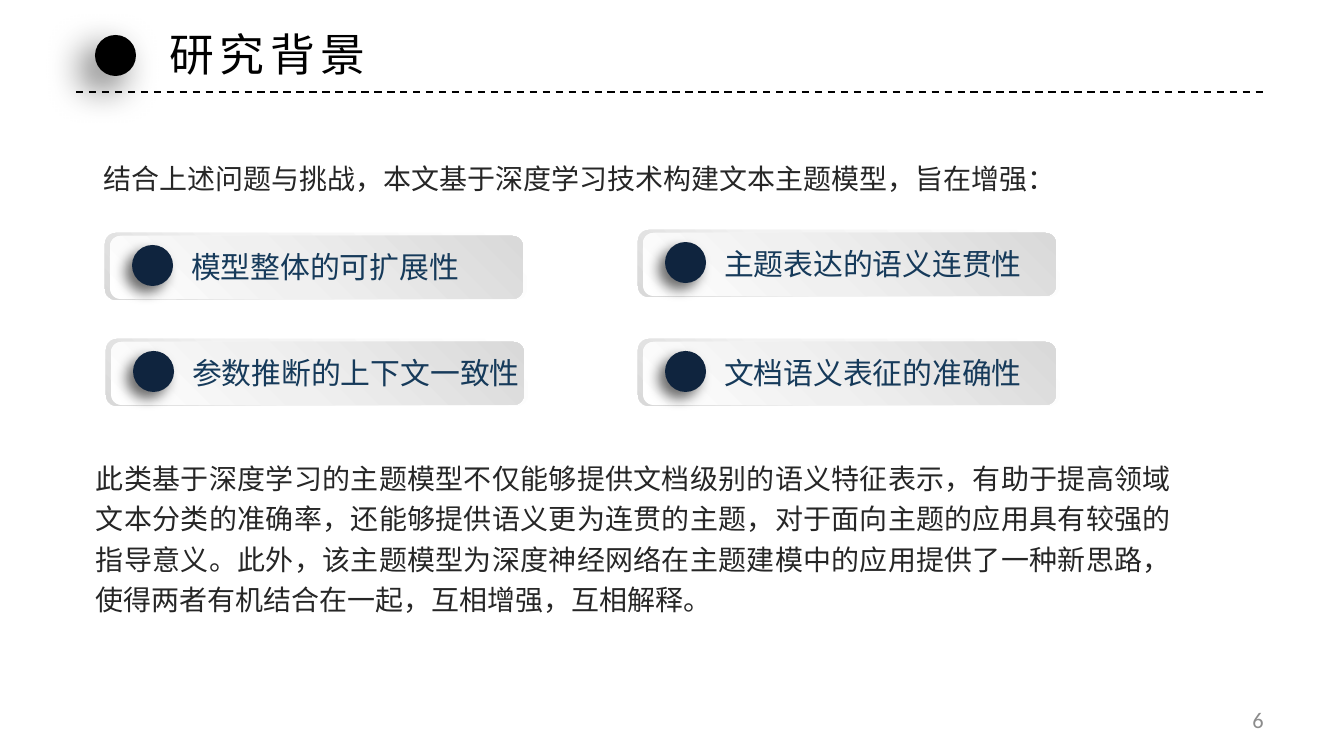
from lxml.etree import SubElement
from pptx import Presentation
from pptx.dml.color import RGBColor
from pptx.enum.dml import MSO_LINE_DASH_STYLE as Dash
from pptx.enum.shapes import MSO_CONNECTOR as Connector, MSO_SHAPE as Shape
from pptx.enum.text import MSO_ANCHOR as Anchor, MSO_AUTO_SIZE as AutoSize, PP_ALIGN as Align
from pptx.oxml.ns import qn
from pptx.util import Pt

# Content, with places in px
TITLE = "研究背景"
PAGE_NUMBER = "6"
FONT = "Noto Sans CJK SC"
PARAGRAPHS = [
    ((95, 150, 1073, 51), "结合上述问题与挑战，本文基于深度学习技术构建文本主题模型，旨在增强："),
    ((87, 450, 1094, 173),
     "此类基于深度学习的主题模型不仅能够提供文档级别的语义特征表示，有助于提高领域"
     "文本分类的准确率，还能够提供语义更为连贯的主题，对于面向主题的应用具有较强的"
     "指导意义。此外，该主题模型为深度神经网络在主题建模中的应用提供了一种新思路，"
     "使得两者有机结合在一起，互相增强，互相解释。"),
]
GOALS = [
    (638, 230, "主题表达的语义连贯性"),
    (106, 339, "参数推断的上下文一致性"),
    (105, 233, "模型整体的可扩展性"),
    (638, 339, "文档语义表征的准确性"),
]
# Plates of a goal card: offset and size, gradient stops, angle
PLATES = [
    ((0, 0, 422, 67), [(0, "FFFFFF"), (62, "F2F2F2"), (100, "D9D9D9")], 135),
    ((5, 3, 413, 63), [(0, "FFFFFF"), (42, "F0F0F0"), (100, "D9D9D9")], 315),
]


def px(*lengths):
    return [round(length * 914400 / 134.4) for length in lengths]


def color(hex_text):
    return RGBColor.from_string(hex_text)


def add_node(parent, tag, **attributes):
    return SubElement(parent, qn(tag), {key: str(value) for key, value in attributes.items()})


def write(box, text, size, ink, font=FONT, align=Align.LEFT, wrap=False, inset=None):
    frame = box.text_frame
    frame.text = text
    frame.word_wrap = wrap
    frame.auto_size = AutoSize.NONE
    if inset:
        frame.margin_left, frame.margin_top = px(*inset)
        frame.margin_right, frame.margin_bottom = px(*inset)
    para = frame.paragraphs[0]
    para.alignment = align
    span = para.runs[0]
    span.font.size = Pt(size)
    span.font.color.rgb = color(ink)
    span.font.name = font
    add_node(span._r.get_or_add_rPr(), "a:ea", typeface=font)
    return para


def add_dot(area, fill, opacity, blur, distance):
    dot = page.shapes.add_shape(Shape.OVAL, *px(*area))
    dot.fill.solid()
    dot.fill.fore_color.rgb = color(fill)
    dot.line.fill.background()
    effects = add_node(dot._element.spPr, "a:effectLst")
    shadow = add_node(effects, "a:outerShdw", blurRad=Pt(blur), dist=Pt(distance),
                      dir=135 * 60000, algn="tr", rotWithShape=0)
    tint = add_node(shadow, "a:srgbClr", val="000000")
    add_node(tint, "a:alpha", val=opacity * 1000)


def add_plate(group, area, stops, angle):
    plate = group.shapes.add_shape(Shape.ROUNDED_RECTANGLE, *px(*area))
    gradient = add_node(plate._element.spPr, "a:gradFill", rotWithShape=1)
    stop_list = add_node(gradient, "a:gsLst")
    for position, tone in stops:
        stop = add_node(stop_list, "a:gs", pos=position * 1000)
        add_node(stop, "a:srgbClr", val=tone)
    add_node(gradient, "a:lin", ang=angle * 60000, scaled=0)
    plate.line.fill.background()
    plate.shadow.inherit = False


deck = Presentation()
deck.slide_width, deck.slide_height = px(1344, 756)
page = deck.slides.add_slide(deck.slide_layouts[5])

# Header: title, dashed rule and dot
title = page.shapes.title
title.left, title.top, title.width, title.height = px(156, 20, 231, 67)
write(title, TITLE, 24, "000000").runs[0]._r.get_or_add_rPr().set("spc", "300")
title.text_frame.vertical_anchor = Anchor.TOP

rule = page.shapes.add_connector(Connector.STRAIGHT, *px(76, 92, 1268, 92))
rule.line.color.rgb = color("000000")
rule.line.width = Pt(1)
rule.line.dash_style = Dash.DASH
add_node(rule._element.spPr, "a:effectLst")
add_dot((95, 35, 41, 41), "000000", 60, 20, 10)

# Paragraphs around the cards
for area, text in PARAGRAPHS:
    box = page.shapes.add_textbox(*px(*area))
    para = write(box, text, 15, "262626", align=Align.JUSTIFY, wrap=True, inset=(9, 5))
    para.line_spacing = 1.2

# Goal cards
for left, top, goal in GOALS:
    card = page.shapes.add_group_shape()
    for (dx, dy, width, height), stops, angle in PLATES:
        add_plate(card, (left + dx, top + dy, width, height), stops, angle)
    add_dot((left + 27, top + 12, 41, 41), "0F243E", 57, 7, 5)
    label = page.shapes.add_textbox(*px(left + 73, top + 9, 30 * len(goal) + 27, 50))
    write(label, goal, 16, "163A5A")

# Page number
number = page.shapes.add_textbox(*px(964, 700, 313, 40))
write(number, PAGE_NUMBER, 12, "8C8C8C", font="Calibri", align=Align.RIGHT, wrap=True)
number.text_frame.vertical_anchor = Anchor.MIDDLE

deck.save("out.pptx")
